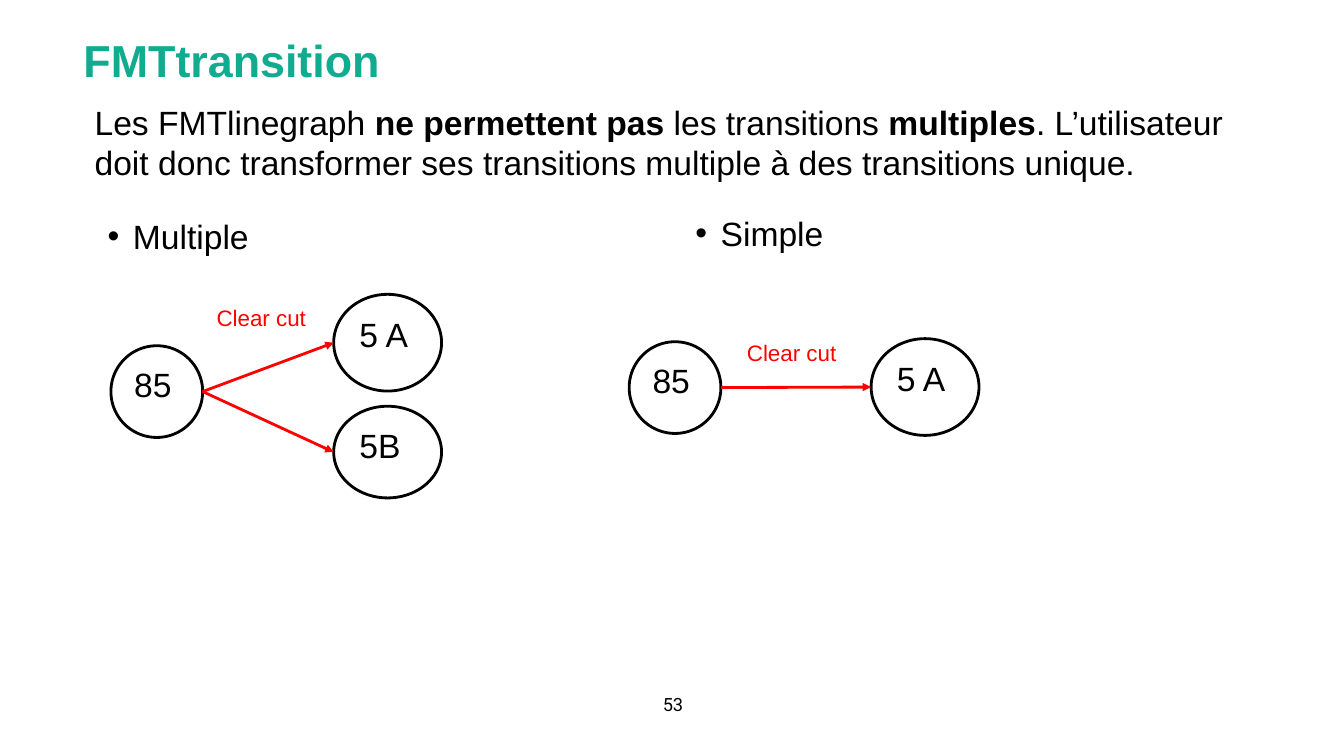
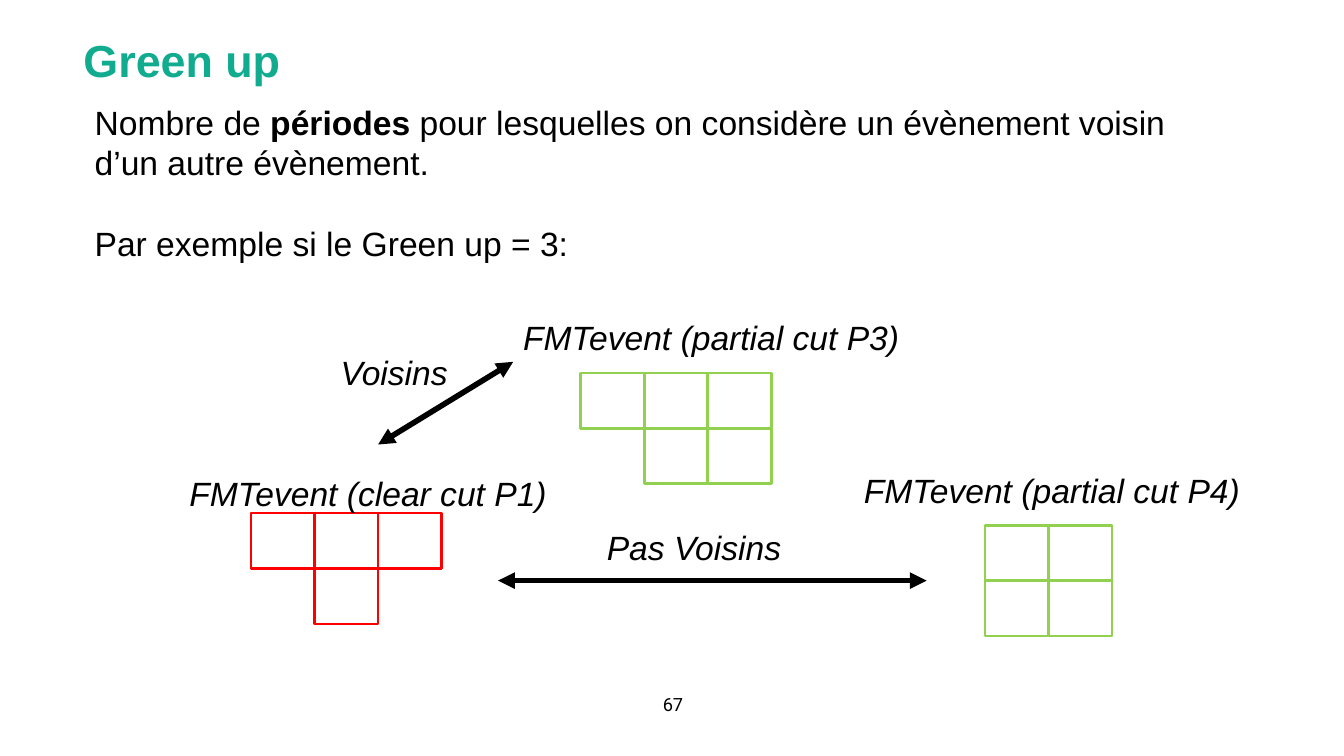
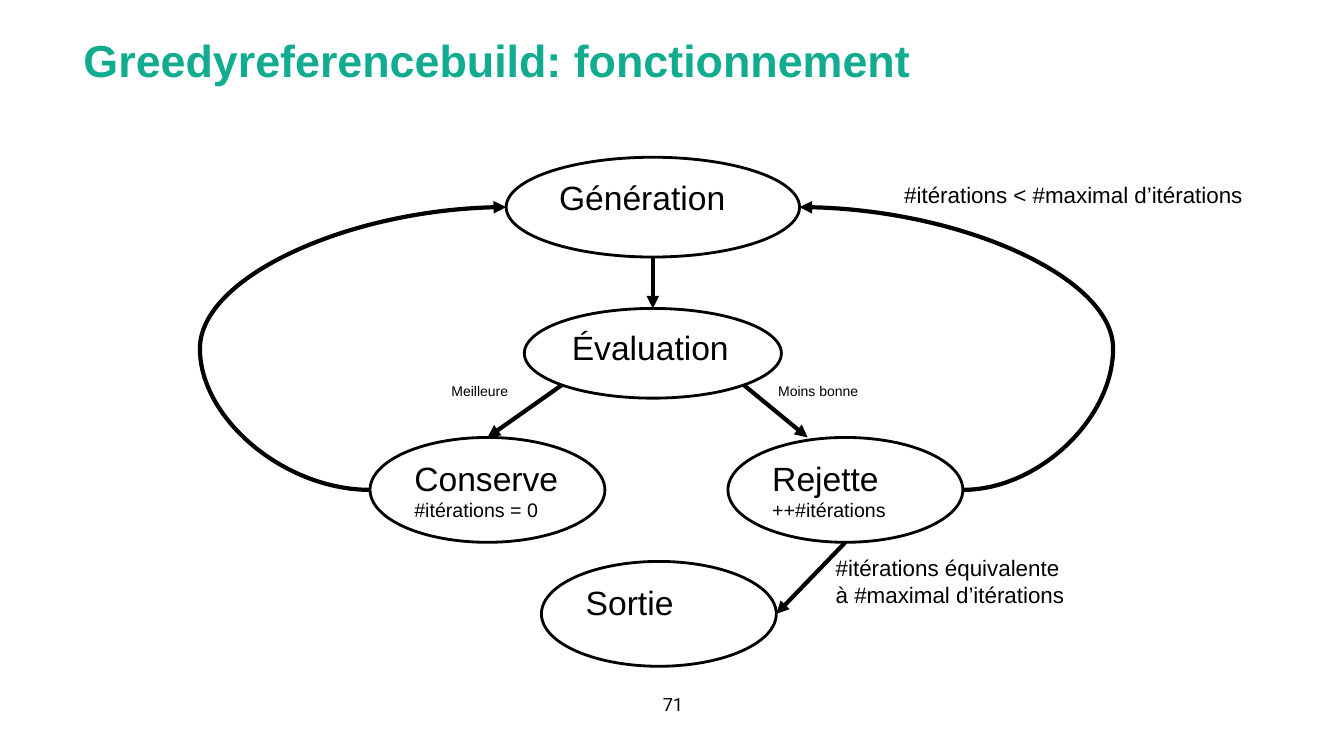
from math import cos, pi, sin

from lxml.etree import SubElement
from pptx import Presentation
from pptx.dml.color import RGBColor
from pptx.enum.shapes import MSO_CONNECTOR as CONN, MSO_SHAPE as SHAPE
from pptx.enum.text import MSO_ANCHOR as ANCHOR, PP_ALIGN as ALIGN
from pptx.oxml.ns import qn
from pptx.util import Inches, Pt

BLACK, WHITE, RED, GREEN, TEAL = "000000", "FFFFFF", "FF0000", "92D050", "11AB90"
TOP, LEFT, BOTTOM_LEFT, BOTTOM, BOTTOM_RIGHT, RIGHT = 0, 2, 3, 4, 5, 6


def rgb(value):
    return RGBColor.from_string(value)


class Deck:
    font = "Arial"
    cell_w, cell_h = 0.63, 0.55

    def __init__(self):
        self.prs = Presentation()
        self.prs.slide_width = Inches(13.33)
        self.prs.slide_height = Inches(7.5)

    def slide(self, title, number):
        self.s = self.prs.slides.add_slide(self.prs.slide_layouts[6])
        self.text(0.73, 0.08, 11.33, 0.83, [title], 32, TEAL, bold=True, anchor=ANCHOR.BOTTOM)
        self.text(6.4, 6.82, 0.55, 0.33, [number], 13, font="Roboto",
                  anchor=ANCHOR.MIDDLE, align=ALIGN.CENTER)

    def add_runs(self, p, text, size, color=BLACK, bold=False, italic=False, font=None):
        for i, part in enumerate(text.split("**")):
            if part:
                r = p.add_run()
                r.text = part
                f = r.font
                f.name, f.size = font or self.font, Pt(size)
                f.bold, f.italic = bold or i % 2 == 1, italic
                f.color.rgb = rgb(color)

    def text(self, x, y, w, h, lines, size=24, color=BLACK, anchor=ANCHOR.TOP,
             align=ALIGN.LEFT, gap=0, **style):
        tf = self.s.shapes.add_textbox(Inches(x), Inches(y), Inches(w), Inches(h)).text_frame
        tf.word_wrap = True
        tf.vertical_anchor = anchor
        for i, line in enumerate(lines):
            p = tf.paragraphs[0] if i == 0 else tf.add_paragraph()
            p.alignment = align
            if i and gap:
                p.space_before = Pt(gap)
            self.add_runs(p, line, size, color, **style)
        return tf

    def bullet(self, x, y, text):
        p = self.text(x, y, 6.67, 0.5, [text]).paragraphs[0]
        pPr = p._p.get_or_add_pPr()
        pPr.set("marL", str(Inches(0.5)))
        pPr.set("indent", str(Inches(-0.25)))
        SubElement(pPr, qn("a:buFont")).set("typeface", self.font)
        SubElement(pPr, qn("a:buChar")).set("char", "•")

    def shape(self, kind, x, y, w, h, color):
        sp = self.s.shapes.add_shape(kind, Inches(x), Inches(y), Inches(w), Inches(h))
        sp.shadow.inherit = False
        sp.line.color.rgb = rgb(color)
        sp.line.width = Pt(2)
        return sp

    def node(self, x, y, w, h, text, note=None):
        sp = self.shape(SHAPE.OVAL, x, y, w, h, BLACK)
        sp.fill.background()
        tf = sp.text_frame
        tf.word_wrap = True
        tf.vertical_anchor = ANCHOR.TOP
        p = tf.paragraphs[0]
        p.alignment = ALIGN.LEFT
        self.add_runs(p, text, 24)
        if note:
            p = tf.add_paragraph()
            p.alignment = ALIGN.LEFT
            self.add_runs(p, note, 14)
        return sp

    def cells(self, x, y, rows, color):
        for j, row in enumerate(rows):
            for i, mark in enumerate(row):
                if mark == "#":
                    sp = self.shape(SHAPE.RECTANGLE, x + i * self.cell_w, y + j * self.cell_h,
                                    self.cell_w, self.cell_h, color)
                    sp.fill.solid()
                    sp.fill.fore_color.rgb = rgb(WHITE)

    def locate(self, end):
        a, b = end
        if isinstance(a, (int, float)):
            return Inches(a), Inches(b)
        turn = b * pi / 4
        return (round(a.left + a.width / 2 * (1 - sin(turn))),
                round(a.top + a.height / 2 * (1 - cos(turn))))

    def arrow(self, start, end, color=BLACK, width=3, both=False, bend=None):
        kind = CONN.STRAIGHT if bend is None else CONN.CURVE
        c = self.s.shapes.add_connector(kind, *self.locate(start), *self.locate(end))
        c.line.color.rgb = rgb(color)
        c.line.width = Pt(width)
        spPr = c._element.spPr
        ln = spPr.find(qn("a:ln"))
        for tag in ("a:headEnd", "a:tailEnd") if both else ("a:tailEnd",):
            SubElement(ln, qn(tag)).set("type", "triangle")
        SubElement(spPr, qn("a:effectLst"))
        if bend is not None:
            gd = SubElement(spPr.find(qn("a:prstGeom")).find(qn("a:avLst")), qn("a:gd"))
            gd.set("name", "adj1")
            gd.set("fmla", f"val {round(bend * 100000)}")
        joints = c._element.nvCxnSpPr.cNvCxnSpPr
        for tag, (sp, site) in (("a:stCxn", start), ("a:endCxn", end)):
            if not isinstance(sp, (int, float)):
                joint = SubElement(joints, qn(tag))
                joint.set("id", str(sp.shape_id))
                joint.set("idx", str(site))


def transitions(d):
    d.slide("FMTtransition", "53")
    d.text(0.84, 0.96, 11.45, 0.91, [
        "Les FMTlinegraph **ne permettent pas **les transitions **multiples**. L’utilisateur "
        "doit donc transformer ses transitions multiple à des transitions unique."])
    d.bullet(0.72, 2.09, "Multiple")
    d.bullet(6.55, 2.06, "Simple")
    source = d.node(1.1, 3.43, 0.91, 0.91, "85")
    for y, h, name in ((4.03, 0.91, "5B"), (2.92, 0.96, "5 A")):
        target = d.node(3.31, y, 1.07, h, name)
        d.arrow((source, RIGHT), (target, LEFT), RED, 2)
    source = d.node(6.24, 3.39, 0.91, 0.91, "85")
    target = d.node(8.64, 3.36, 1.07, 0.96, "5 A")
    d.arrow((source, RIGHT), (target, LEFT), RED, 2)
    for x, y in ((2.05, 2.97), (7.31, 3.32)):
        d.text(x, y, 1.16, 0.37, ["Clear cut"], 16, RED)


def green_up(d):
    d.slide("Green up", "67")
    d.text(0.84, 0.96, 11.45, 1.72, [
        "Nombre de **périodes** pour lesquelles on considère un évènement voisin "
        "d’un autre évènement.",
        "Par exemple si le Green up = 3:"], gap=28.8)
    d.cells(2.49, 5.09, ("###", ".#."), RED)
    d.cells(5.76, 3.7, ("###", ".##"), GREEN)
    d.cells(9.77, 5.21, ("##", "##"), GREEN)
    for x, y, w, label in ((1.78, 4.64, 4.25, "FMTevent (clear cut P1)"),
                           (5.09, 3.09, 4.25, "FMTevent (partial cut P3)"),
                           (8.47, 4.61, 4.25, "FMTevent (partial cut P4)"),
                           (3.28, 3.44, 1.53, "Voisins"),
                           (5.92, 5.18, 3.28, "Pas Voisins")):
        d.text(x, y, w, 0.5, [label], italic=True)
    d.arrow((5.09, 3.59), (3.75, 4.41), width=4, both=True)
    d.arrow((9.19, 5.76), (4.94, 5.76), width=4, both=True)


def greedy_build(d):
    d.slide("Greedyreferencebuild: fonctionnement", "71")
    generation = d.node(5.02, 1.56, 2.91, 0.99, "Génération")
    evaluation = d.node(5.2, 3.06, 2.55, 0.89, "Évaluation")
    keep = d.node(3.67, 4.34, 2.33, 1.04, "Conserve", "#itérations = 0")
    reject = d.node(7.22, 4.34, 2.33, 1.04, "Rejette", "++#itérations")
    output = d.node(5.37, 5.57, 2.33, 1.04, "Sortie")
    d.arrow((generation, BOTTOM), (evaluation, TOP))
    d.arrow((evaluation, BOTTOM_LEFT), (keep, TOP))
    d.arrow((evaluation, BOTTOM_RIGHT), (8.01, 4.34))
    d.arrow((reject, BOTTOM), (output, RIGHT))
    d.arrow((reject, RIGHT), (generation, RIGHT), bend=-0.92)
    d.arrow((keep, LEFT), (generation, LEFT), bend=-1.25)
    d.text(7.62, 3.75, 1.13, 0.27, ["Moins bonne"], 10)
    d.text(4.38, 3.75, 1.54, 0.27, ["Meilleure"], 10)
    d.text(8.87, 1.75, 4.33, 0.37, ["#itérations < #maximal d’itérations"], 16)
    d.text(8.19, 5.45, 2.52, 0.64, ["#itérations équivalente à #maximal d’itérations"], 16)


def main():
    d = Deck()
    for build in (transitions, green_up, greedy_build):
        build(d)
    d.prs.save("out.pptx")


if __name__ == "__main__":
    main()
